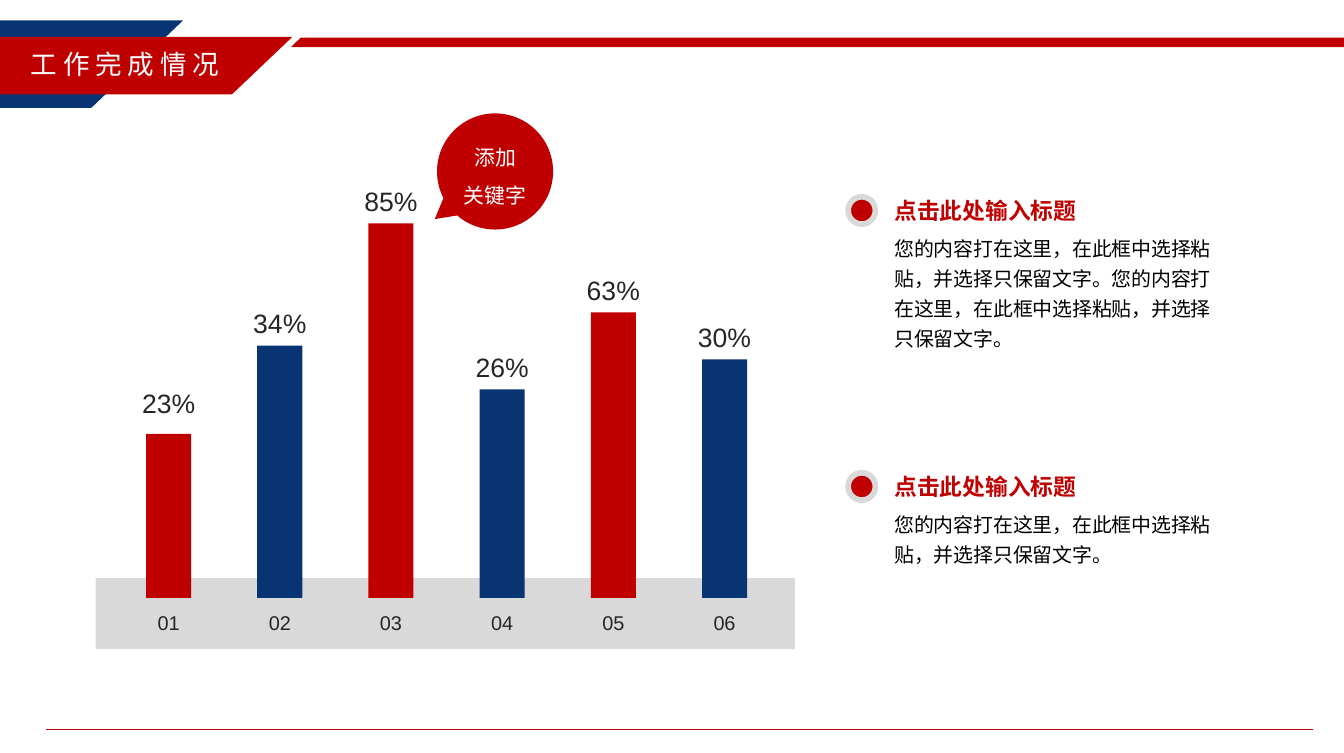
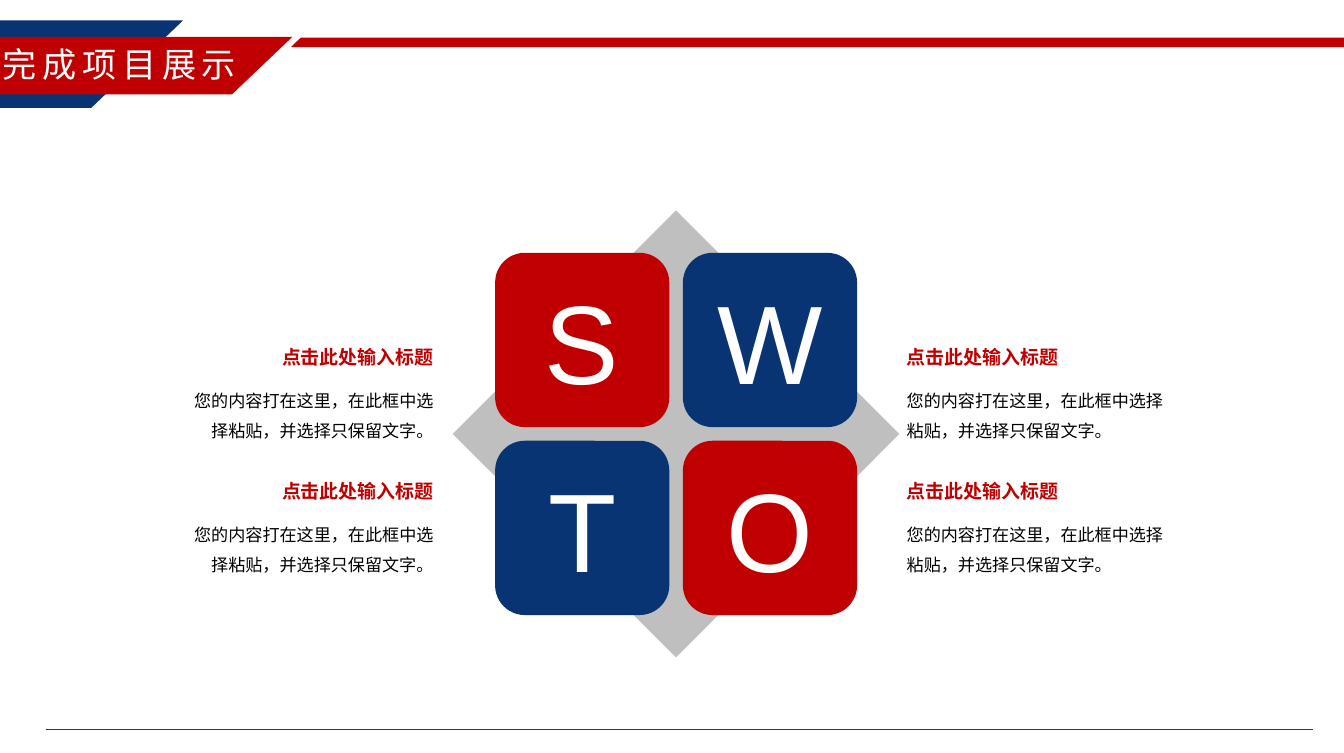
from dataclasses import dataclass

from lxml.etree import SubElement
from pptx import Presentation
from pptx.dml.color import RGBColor
from pptx.enum.shapes import MSO_CONNECTOR as Link, MSO_SHAPE as Shape
from pptx.enum.text import MSO_ANCHOR as Anchor, PP_ALIGN as Align
from pptx.oxml.ns import qn
from pptx.util import Inches, Pt

COLUMNS, ROWS = 98.4, 55.1
CELL = Inches(0.1)


@dataclass(frozen=True)
class Theme:
    red: str = "C00000"
    navy: str = "083473"
    pale: str = "D9D9D9"
    grey: str = "BFBFBF"
    ink: str = "262626"
    black: str = "000000"
    white: str = "FFFFFF"
    latin: str = "Arial"
    body: str = "Calibri"
    asian: str = "Noto Sans CJK SC"
    letter: float = 58.8
    banner: float = 18
    value: float = 14
    heading: float = 12
    callout: float = 11
    text: float = 10.5
    small_heading: float = 10
    small_text: float = 9


THEME = Theme()


@dataclass(frozen=True)
class Box:
    left: float
    top: float
    width: float
    height: float

    def inner(self, left, top, width, height):
        return Box(self.left + left, self.top + top, width, height)

    def emu(self):
        return [round(n * CELL) for n in (self.left, self.top, self.width, self.height)]


@dataclass(frozen=True)
class Style:
    size: float
    color: str
    font: str = THEME.latin
    bold: bool = False
    tracking: int = 0
    align: Align = Align.LEFT
    spacing: float = 1.0


def rgb(color):
    return RGBColor.from_string(color)


def write(frame, lines, style):
    for index, line in enumerate(lines):
        para = frame.paragraphs[0] if index == 0 else frame.add_paragraph()
        para.alignment = style.align
        para.line_spacing = style.spacing
        span = para.add_run()
        span.text = line
        span.font.name = style.font
        span.font.size = Pt(style.size)
        span.font.bold = style.bold
        span.font.color.rgb = rgb(style.color)
        props = span.font._element
        SubElement(props, qn("a:ea")).set("typeface", THEME.asian)
        if style.tracking:
            props.set("spc", str(style.tracking * 100))


def add_text(page, box, lines, style, wrap=True, anchor=Anchor.TOP):
    frame = page.shapes.add_textbox(*box.emu()).text_frame
    frame.word_wrap = wrap
    frame.vertical_anchor = anchor
    write(frame, lines, style)


def add_figure(page, kind, box, color, adjust=(), outline=None):
    figure = page.shapes.add_shape(kind, *box.emu())
    figure.shadow.inherit = False
    figure.fill.solid()
    figure.fill.fore_color.rgb = rgb(color)
    if outline:
        figure.line.color.rgb = rgb(outline)
        figure.line.width = Pt(3)
    else:
        figure.line.fill.background()
    for index, value in enumerate(adjust):
        figure.adjustments[index] = value
    return figure


def add_frame(page, box, title, size, title_left):
    bands = [
        (box.inner(-8.1, 1.5, 21.5, 6.4), THEME.navy),
        (box.inner(-8.1, 2.7, 29.5, 4.2), THEME.red),
        (box.inner(21.3, 2.75, 81.7, 0.7), THEME.red),
    ]
    for band, color in bands:
        add_figure(page, Shape.PARALLELOGRAM, band, color, [1.05])
    style = Style(size, THEME.white, THEME.asian, tracking=3, align=Align.CENTER)
    add_text(page, box.inner(title_left, 2.65, 37.7, 4), [title], style, anchor=Anchor.MIDDLE)
    left, top, width, _ = box.inner(3.4, 53.4, 92.7, 0).emu()
    rule = page.shapes.add_connector(Link.STRAIGHT, left, top, left + width, top)
    rule.line.color.rgb = rgb(THEME.red)
    rule.line.width = Pt(0.5)
    SubElement(rule._element.spPr, qn("a:effectLst"))


def add_bars(page, box, bars):
    add_figure(page, Shape.RECTANGLE, box.inner(0, box.height - 5.2, box.width, 5.2), THEME.pale)
    first, pitch, bar_width = 5.35, 8.14, 3.3
    base = box.height - 3.75
    number_style = Style(THEME.text, THEME.ink, align=Align.CENTER)
    value_style = Style(THEME.value, THEME.ink, align=Align.CENTER)
    for index, (value, height, lift) in enumerate(bars):
        center = first + pitch * index
        top = base - height
        color = THEME.navy if index % 2 else THEME.red
        add_text(page, box.inner(center - 1.85, base + 0.45, 3.7, 2.8),
                 [f"{index + 1:02d}"], number_style, wrap=False)
        add_figure(page, Shape.RECTANGLE,
                   box.inner(center - bar_width / 2, top, bar_width, height), color)
        add_text(page, box.inner(center - 3.05, top - lift, 6.1, 3.4),
                 [value], value_style, wrap=False)


def add_callout(page, box, lines):
    add_figure(page, Shape.OVAL_CALLOUT, box, THEME.red, [-0.52, 0.41])
    style = Style(THEME.callout, THEME.white, align=Align.CENTER, spacing=1.5)
    add_text(page, box.inner(0.2, 0.9, 8.1, 6.6), lines, style)


def add_point(page, box, heading, body):
    add_figure(page, Shape.OVAL, box.inner(0, 0.5, 2, 2), THEME.red, outline=THEME.pale)
    add_text(page, box.inner(2.4, 0, 21, 3), [heading],
             Style(THEME.heading, THEME.red, bold=True))
    add_text(page, box.inner(2.4, 2.5, 26.2, box.height - 2.5), [body],
             Style(THEME.text, THEME.black, THEME.body, spacing=1.25))


def add_swot(page, box, letters):
    add_figure(page, Shape.DIAMOND, box, THEME.grey)
    tile, pitch = 12.75, 13.75
    margin = (box.width - tile - pitch) / 2
    style = Style(THEME.letter, THEME.white, align=Align.CENTER)
    for index, letter in enumerate(letters):
        row, column = divmod(index, 2)
        color = THEME.navy if row != column else THEME.red
        place = box.inner(margin + pitch * column, margin + pitch * row, tile, tile)
        figure = add_figure(page, Shape.ROUNDED_RECTANGLE, place, color, [0.17])
        frame = figure.text_frame
        frame.margin_left = frame.margin_right = frame.margin_top = frame.margin_bottom = 0
        frame.vertical_anchor = Anchor.MIDDLE
        write(frame, [letter], style)


def add_note(page, box, heading, body, body_width, align):
    indent = box.width - body_width if align == Align.RIGHT else 0
    add_text(page, box.inner(indent, 3.1, body_width, 5.6), [body],
             Style(THEME.small_text, THEME.black, THEME.body, align=align, spacing=1.5))
    add_text(page, box.inner(0, 0, box.width, 3.8), [heading],
             Style(THEME.small_heading, THEME.red, bold=True, align=align),
             anchor=Anchor.MIDDLE)


def build_progress(page, box, heading, body):
    bars = [("23%", 12, 3.9), ("34%", 18.45, 3.35), ("85%", 27.4, 3.3),
            ("26%", 15.25, 3.3), ("63%", 20.9, 3.3), ("30%", 17.45, 3.3)]
    add_bars(page, box.inner(7, 13, 51.2, 34.5), bars)
    add_callout(page, box.inner(32, 8.3, 8.5, 8.5), ["添加", "关键字"])
    add_point(page, box.inner(62.1, 13.9, 28.6, 14.4), heading, body * 2)
    add_point(page, box.inner(62.1, 34.1, 28.6, 7.8), heading, body)
    add_frame(page, box, "工作完成情况", THEME.value, -9.7)


def build_projects(page, box, heading, body):
    add_swot(page, box.inner(33.15, 15.4, 32.7, 32.7), "SWTO")
    for row in range(2):
        top = 24.2 + 9.8 * row
        add_note(page, box.inner(65.4, top, 22.9, 8.7), heading, body, 21.1, Align.LEFT)
        add_note(page, box.inner(9.8, top, 22.9, 8.7), heading, body, 19.7, Align.RIGHT)
    add_frame(page, box, "完成项目展示", THEME.banner, -10.1)


def main():
    deck = Presentation()
    canvas = Box(0, 0, COLUMNS, ROWS)
    _, _, deck.slide_width, deck.slide_height = canvas.emu()
    heading = "点击此处输入标题"
    body = "您的内容打在这里，在此框中选择粘贴，并选择只保留文字。"
    for build in (build_progress, build_projects):
        page = deck.slides.add_slide(deck.slide_layouts[6])
        build(page, canvas, heading, body)
    deck.save("out.pptx")


if __name__ == "__main__":
    main()
